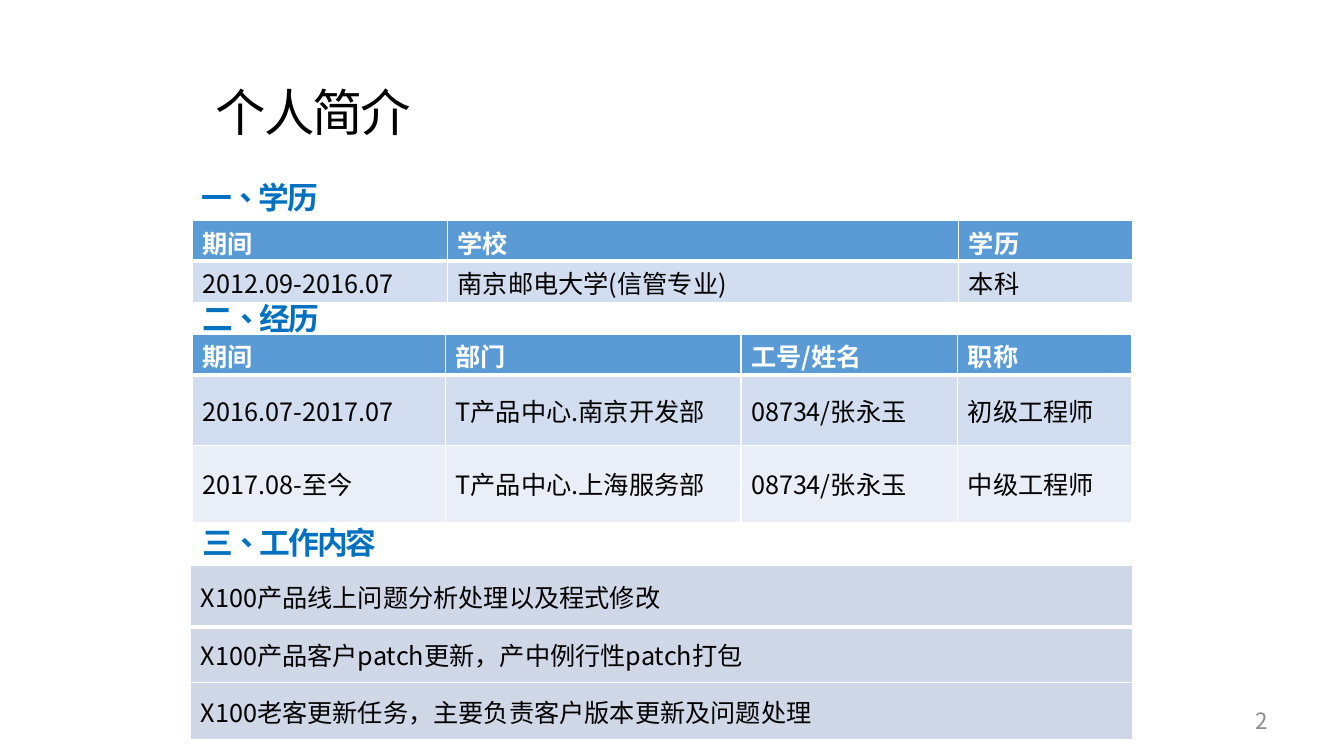
from lxml.etree import SubElement
from pptx import Presentation
from pptx.dml.color import RGBColor
from pptx.enum.text import MSO_ANCHOR, MSO_AUTO_SIZE, PP_ALIGN
from pptx.oxml.ns import qn
from pptx.util import Emu, Pt

PX = 9144  # 100 px to the inch
BLACK = RGBColor(0x00, 0x00, 0x00)
WHITE = RGBColor(0xFF, 0xFF, 0xFF)
GREY = RGBColor(0x8C, 0x8C, 0x8C)
HEADING_BLUE = RGBColor(0x00, 0x70, 0xC0)
HEADER_BLUE = RGBColor(0x5B, 0x9B, 0xD5)
BAND_DARK = RGBColor(0xD2, 0xDE, 0xEF)
BAND_LIGHT = RGBColor(0xEA, 0xEF, 0xF7)
TASK_FILL = RGBColor(0xD0, 0xD8, 0xE8)
SANS_SC = "Noto Sans CJK SC"
SANS_TC = "Noto Sans CJK TC"


def px(*lengths):
    return [Emu(length * PX) for length in lengths]


def write(frame, text, size=18, color=BLACK, bold=False, font=SANS_SC,
          spacing=0, align=PP_ALIGN.LEFT, language="zh-CN"):
    paragraph = frame.paragraphs[0]
    paragraph.alignment = align
    run = paragraph.add_run()
    run.text = text
    run.font.size = Pt(size)
    run.font.bold = bold
    run.font.color.rgb = color
    run.font.name = font
    properties = run.font._element
    properties.set("lang", language)
    SubElement(properties, qn("a:ea")).set("typeface", font)
    if spacing:
        properties.set("spc", str(int(spacing * 100)))


def add_borders(cell, bottom):
    """Draw white cell edges; they must precede the fill in the XML."""
    properties = cell._tc.get_or_add_tcPr()
    widths = {"a:lnL": 1, "a:lnR": 1, "a:lnT": 1, "a:lnB": bottom}
    for tag, width in widths.items():
        edge = SubElement(properties, qn(tag), w=str(Pt(width)))
        fill = SubElement(edge, qn("a:solidFill"))
        SubElement(fill, qn("a:srgbClr"), val=str(WHITE))


class ProfileSlide:
    def __init__(self, presentation):
        self.slide = presentation.slides.add_slide(presentation.slide_layouts[5])

    def fill_frame(self, frame, text, **style):
        frame.word_wrap = True
        frame.auto_size = MSO_AUTO_SIZE.NONE
        frame.vertical_anchor = MSO_ANCHOR.MIDDLE
        write(frame, text, **style)

    def title(self, text, box):
        title = self.slide.shapes.title
        title.left, title.top, title.width, title.height = px(*box)
        self.fill_frame(title.text_frame, text, size=36, spacing=-1.5)

    def text(self, text, box, **style):
        frame = self.slide.shapes.add_textbox(*px(*box)).text_frame
        self.fill_frame(frame, text, **style)

    def heading(self, text, left, top, width=224):
        self.text(text, (left, top, width, 47), size=22, color=HEADING_BLUE,
                  bold=True, spacing=-1.5, language="zh-TW")

    def table(self, left, top, widths, heights, rows, fills, has_header=True,
              body_anchor=MSO_ANCHOR.MIDDLE):
        table = self.slide.shapes.add_table(
            len(rows), len(widths),
            *px(left, top, sum(widths), sum(heights))).table
        table.first_row = has_header
        table.horz_banding = False
        for column, width in zip(table.columns, px(*widths)):
            column.width = width
        for row, height in zip(table.rows, px(*heights)):
            row.height = height
        for r, (texts, fill) in enumerate(zip(rows, fills)):
            header = has_header and r == 0
            anchor = MSO_ANCHOR.TOP if header else body_anchor
            for c, text in enumerate(texts):
                cell = table.cell(r, c)
                cell.vertical_anchor = anchor
                if anchor == MSO_ANCHOR.TOP:
                    # Tight margins keep one line within the low rows
                    cell.margin_top, cell.margin_bottom = px(3, 0)
                add_borders(cell, bottom=3 if r == 0 else 1)
                cell.fill.solid()
                cell.fill.fore_color.rgb = fill
                write(cell.text_frame, text, bold=header,
                      color=WHITE if header else BLACK)


def main():
    presentation = Presentation()
    presentation.slide_width, presentation.slide_height = px(1333, 750)
    profile = ProfileSlide(presentation)

    profile.title("个人简介", (204, 75, 847, 71))

    profile.table(
        191, 219, [253, 507, 172], [40, 41],
        [["期间", "学校", "学历"],
         ["2012.09-2016.07", "南京邮电大学(信管专业)", "本科"]],
        [HEADER_BLUE, BAND_DARK], body_anchor=MSO_ANCHOR.TOP)
    profile.heading("一、学历", 190, 172)

    profile.heading("二、经历", 191, 292)
    profile.table(
        191, 332, [251, 293, 215, 172], [40, 70, 76],
        [["期间", "部门", "工号/姓名", "职称"],
         ["2016.07-2017.07", "T产品中心.南京开发部", "08734/张永玉", "初级工程师"],
         ["2017.08-至今", "T产品中心.上海服务部", "08734/张永玉", "中级工程师"]],
        [HEADER_BLUE, BAND_DARK, BAND_LIGHT])

    profile.heading("三、工作内容", 191, 514, width=282)
    tasks = ["X100产品线上问题分析处理以及程式修改",
             "X100产品客户patch更新，产中例行性patch打包",
             "X100老客更新任务，主要负责客户版本更新及问题处理"]
    profile.table(189, 561, [934], [61, 55, 57], [[task] for task in tasks],
                  [TASK_FILL] * len(tasks), has_header=False)

    profile.text("2", (956, 695, 311, 40), size=16, color=GREY, font=SANS_TC,
                 align=PP_ALIGN.RIGHT)
    presentation.save("out.pptx")


if __name__ == "__main__":
    main()
